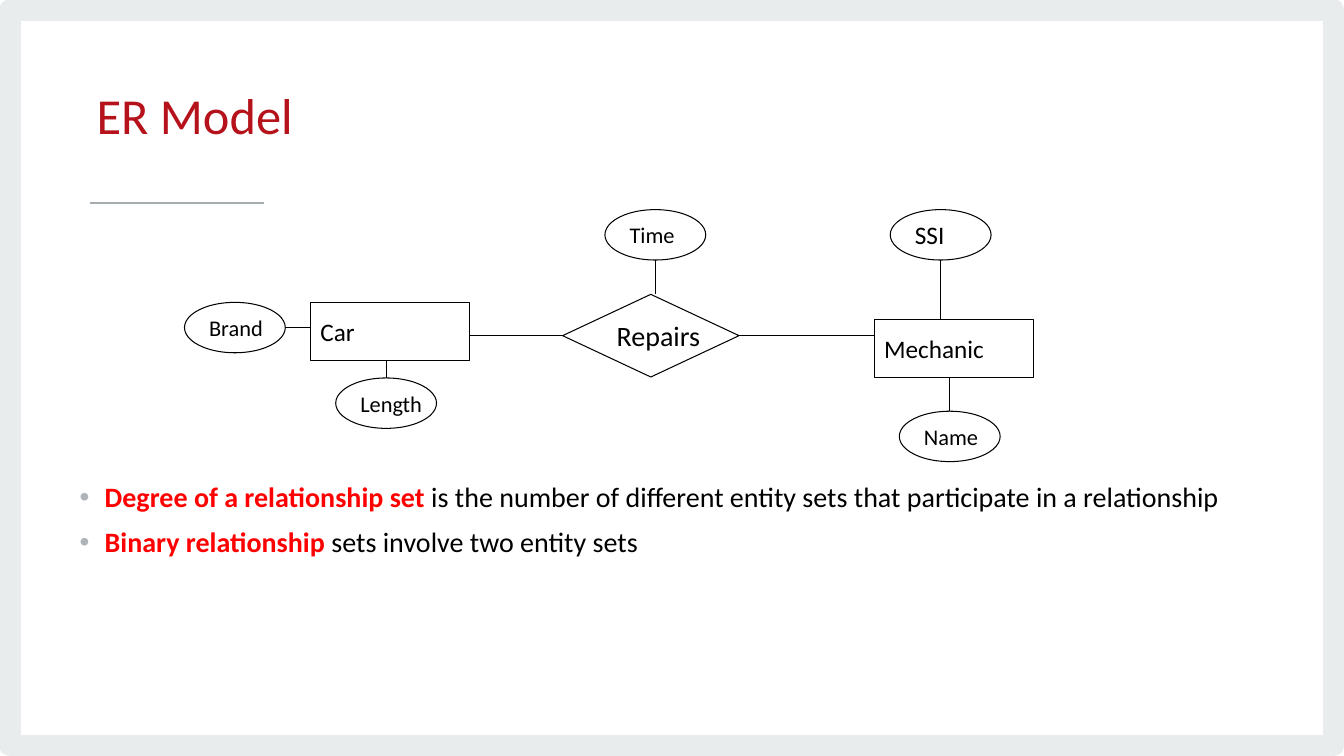
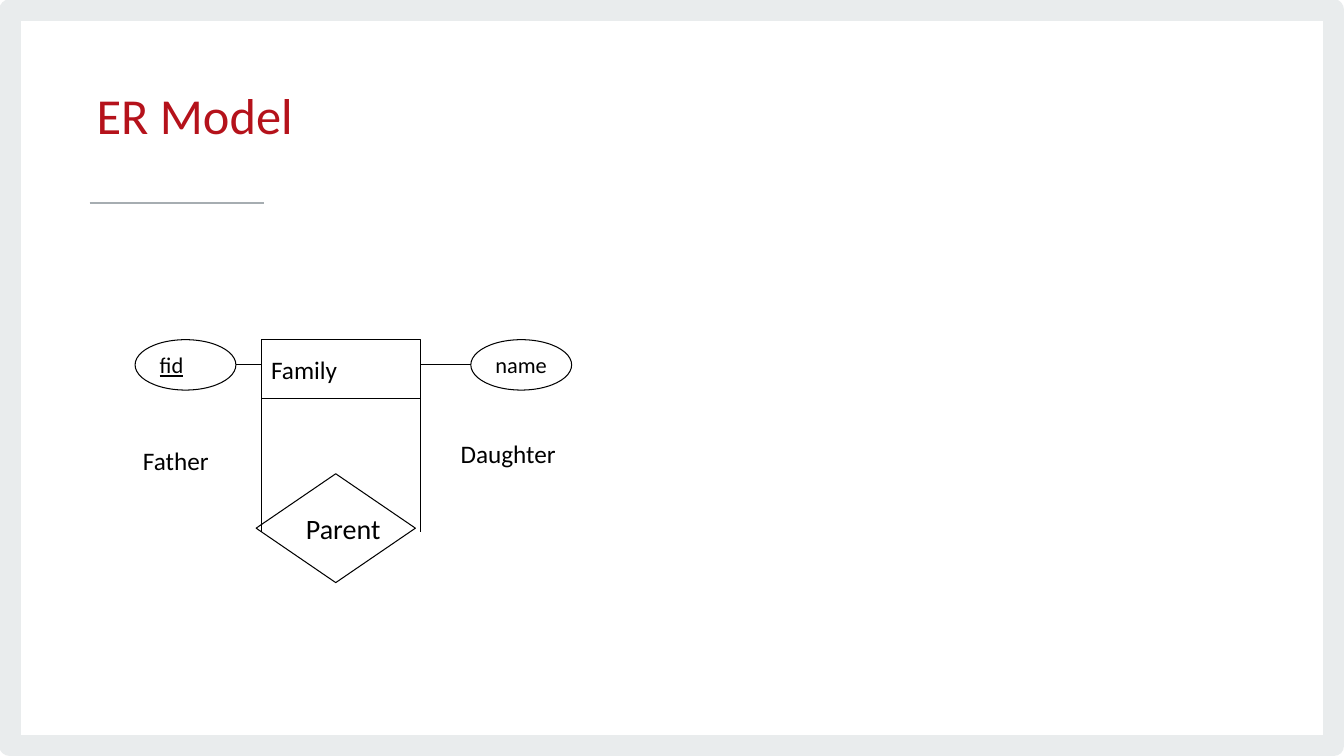
from dataclasses import dataclass

from lxml.etree import SubElement
from pptx import Presentation
from pptx.dml.color import RGBColor
from pptx.enum.shapes import MSO_CONNECTOR, MSO_SHAPE
from pptx.enum.text import MSO_ANCHOR, PP_ALIGN
from pptx.oxml.ns import qn
from pptx.util import Inches, Pt


@dataclass(frozen=True)
class Theme:
    font: str = "Calibri"
    title: str = "B5121B"
    ink: str = "000000"
    accent: str = "FF0000"
    frame: str = "E9ECED"
    rule: str = "A6ADB1"
    bullet: str = "AEB4B9"
    title_size: float = 36
    body_size: float = 20
    entity_size: float = 18
    attribute_size: float = 16
    line_width: float = 0.75
    rule_width: float = 1.33
    frame_width: float = 15.11


THEME = Theme()
ATTRIBUTE_WIDTH, ATTRIBUTE_HEIGHT = 1, 0.5
ENTITY_WIDTH, ENTITY_HEIGHT = 1.58, 0.58

SLIDES = [
    {
        "title": "ER Model",
        "bullets": [
            ("Degree of a relationship set ",
             "is the number of different entity sets that participate in a relationship"),
            ("Binary relationship ", "sets involve two entity sets"),
        ],
        "entities": {"Car": (3.08, 3), "Mechanic": (8.67, 3.17)},
        "relationship": ("Repairs", (5.58, 2.92, 1.75, 0.82)),
        "attributes": [
            ("Time", 6, 2.08, "bottom", "Repairs"),
            ("Length", 3.33, 3.75, "top", "Car"),
            ("Brand", 1.83, 3, "right", "Car"),
            ("Name", 8.92, 4.08, "top", "Mechanic"),
            ("SSI", 8.83, 2.08, "bottom", "Mechanic"),
        ],
        "large_attributes": {"SSI"},
        "participants": [("Car", 1), ("Mechanic", 3)],
    },
    {
        "title": "ER Model",
        "entities": {"Family": (2.59, 3.37)},
        "relationship": ("Parent", (2.54, 4.7, 1.58, 1.08)),
        "attributes": [
            ("name", 4.67, 3.37, "left", "Family"),
            ("fid", 1.34, 3.37, "right", "Family"),
        ],
        "keys": {"fid"},
        "role_entity": "Family",
        "role_line_bottom": 5.28,
        "roles": [("Father", (1.32, 4.37, 0.86, 0.4)),
                  ("Daughter", (4.47, 4.3, 1.16, 0.4))],
    },
]


def color(value):
    return RGBColor.from_string(value)


def style_font(font, size, ink=THEME.ink, bold=False, underline=False):
    font.name = THEME.font
    font.size = Pt(size)
    font.color.rgb = color(ink)
    font.bold = bold
    font.underline = underline


def add_line(slide, start, end, ink=THEME.ink, width=THEME.line_width):
    points = [Inches(value) for value in (*start, *end)]
    connector = slide.shapes.add_connector(MSO_CONNECTOR.STRAIGHT, *points)
    connector.line.color.rgb = color(ink)
    connector.line.width = Pt(width)
    SubElement(connector.element.spPr, qn("a:effectLst"))
    return connector


def add_outline(slide, kind, box, ink=THEME.ink, width=THEME.line_width):
    shape = slide.shapes.add_shape(kind, *[Inches(value) for value in box])
    shape.shadow.inherit = False
    shape.fill.background()
    shape.line.color.rgb = color(ink)
    shape.line.width = Pt(width)
    return shape


def add_node(slide, kind, box, text, size, underline=False):
    shape = add_outline(slide, kind, box)
    frame = shape.text_frame
    frame.text = text
    frame.word_wrap = False
    frame.vertical_anchor = MSO_ANCHOR.MIDDLE
    paragraph = frame.paragraphs[0]
    paragraph.alignment = PP_ALIGN.LEFT
    style_font(paragraph.runs[0].font, size, underline=underline)
    return shape


def add_text(slide, box, text, size, ink=THEME.ink, wrap=False):
    shape = slide.shapes.add_textbox(*[Inches(value) for value in box])
    frame = shape.text_frame
    frame.text = text
    frame.word_wrap = wrap
    style_font(frame.paragraphs[0].runs[0].font, size, ink)
    return frame


def add_base(presentation, title):
    slide = presentation.slides.add_slide(presentation.slide_layouts[6])
    add_outline(slide, MSO_SHAPE.RECTANGLE, (0.1, 0.1, 13.13, 7.3),
                THEME.frame, THEME.frame_width)
    add_line(slide, (0.89, 2.01), (2.62, 2.01), THEME.rule, THEME.rule_width)
    frame = add_text(slide, (0.86, 0.52, 9.02, 1.34), title,
                     THEME.title_size, THEME.title, wrap=True)
    frame.vertical_anchor = MSO_ANCHOR.MIDDLE
    frame.paragraphs[0].line_spacing = Pt(34.7)
    return slide


def add_bullets(slide, bullets):
    shape = slide.shapes.add_textbox(Inches(0.69), Inches(4.75), Inches(12.38), Inches(1.46))
    frame = shape.text_frame
    frame.word_wrap = True
    for index, (term, explanation) in enumerate(bullets):
        paragraph = frame.add_paragraph() if index else frame.paragraphs[0]
        properties = paragraph._p.get_or_add_pPr()
        properties.set("marL", str(Inches(0.25)))
        properties.set("indent", str(-Inches(0.25)))
        bullet_color = SubElement(properties, qn("a:buClr"))
        SubElement(bullet_color, qn("a:srgbClr"), val=THEME.bullet)
        SubElement(properties, qn("a:buFont"), typeface="Arial")
        SubElement(properties, qn("a:buChar"), char="•")
        paragraph.line_spacing = 0.9
        if index:
            paragraph.space_before = Pt(10)
        for text, ink, bold in ((term, THEME.accent, True), (explanation, THEME.ink, False)):
            run = paragraph.add_run()
            run.text = text
            style_font(run.font, THEME.body_size, ink, bold)


def attribute_link(left, top, side, owner_box):
    middle_x = left + ATTRIBUTE_WIDTH / 2
    middle_y = top + ATTRIBUTE_HEIGHT / 2
    owner_left, owner_top, owner_width, owner_height = owner_box
    return {
        "top": ((middle_x, top), (middle_x, owner_top + owner_height)),
        "bottom": ((middle_x, top + ATTRIBUTE_HEIGHT), (middle_x, owner_top)),
        "left": ((left, middle_y), (owner_left + owner_width, middle_y)),
        "right": ((left + ATTRIBUTE_WIDTH, middle_y), (owner_left, middle_y)),
    }[side]


def add_diagram(slide, content):
    boxes = {name: (*corner, ENTITY_WIDTH, ENTITY_HEIGHT)
             for name, corner in content["entities"].items()}
    for name, box in boxes.items():
        add_node(slide, MSO_SHAPE.RECTANGLE, box, name, THEME.entity_size)

    relationship, diamond_box = content["relationship"]
    diamond = add_node(slide, MSO_SHAPE.DIAMOND, diamond_box, relationship, THEME.body_size)
    boxes[relationship] = diamond_box

    for text, left, top, side, owner in content["attributes"]:
        large = text in content.get("large_attributes", ())
        add_node(slide, MSO_SHAPE.OVAL, (left, top, ATTRIBUTE_WIDTH, ATTRIBUTE_HEIGHT), text,
                 THEME.entity_size if large else THEME.attribute_size,
                 text in content.get("keys", ()))
        add_line(slide, *attribute_link(left, top, side, boxes[owner]))

    left, top, width, height = diamond_box
    middle_y = top + height / 2
    for entity, site in content.get("participants", ()):
        entity_left = boxes[entity][0]
        start_x, end_x = ((left, entity_left + ENTITY_WIDTH) if site == 1
                          else (left + width, entity_left))
        connector = add_line(slide, (start_x, middle_y), (end_x, middle_y))
        connector.begin_connect(diamond, site)

    if "roles" in content:
        entity_left, entity_top, _, _ = boxes[content["role_entity"]]
        for x in (entity_left, entity_left + ENTITY_WIDTH):
            add_line(slide, (x, entity_top + ENTITY_HEIGHT), (x, content["role_line_bottom"]))
        for text, box in content["roles"]:
            add_text(slide, box, text, THEME.entity_size)


def main():
    presentation = Presentation()
    presentation.slide_width = Inches(13.33)
    presentation.slide_height = Inches(7.5)
    for content in SLIDES:
        slide = add_base(presentation, content["title"])
        if "bullets" in content:
            add_bullets(slide, content["bullets"])
        add_diagram(slide, content)
    presentation.save("out.pptx")


if __name__ == "__main__":
    main()
